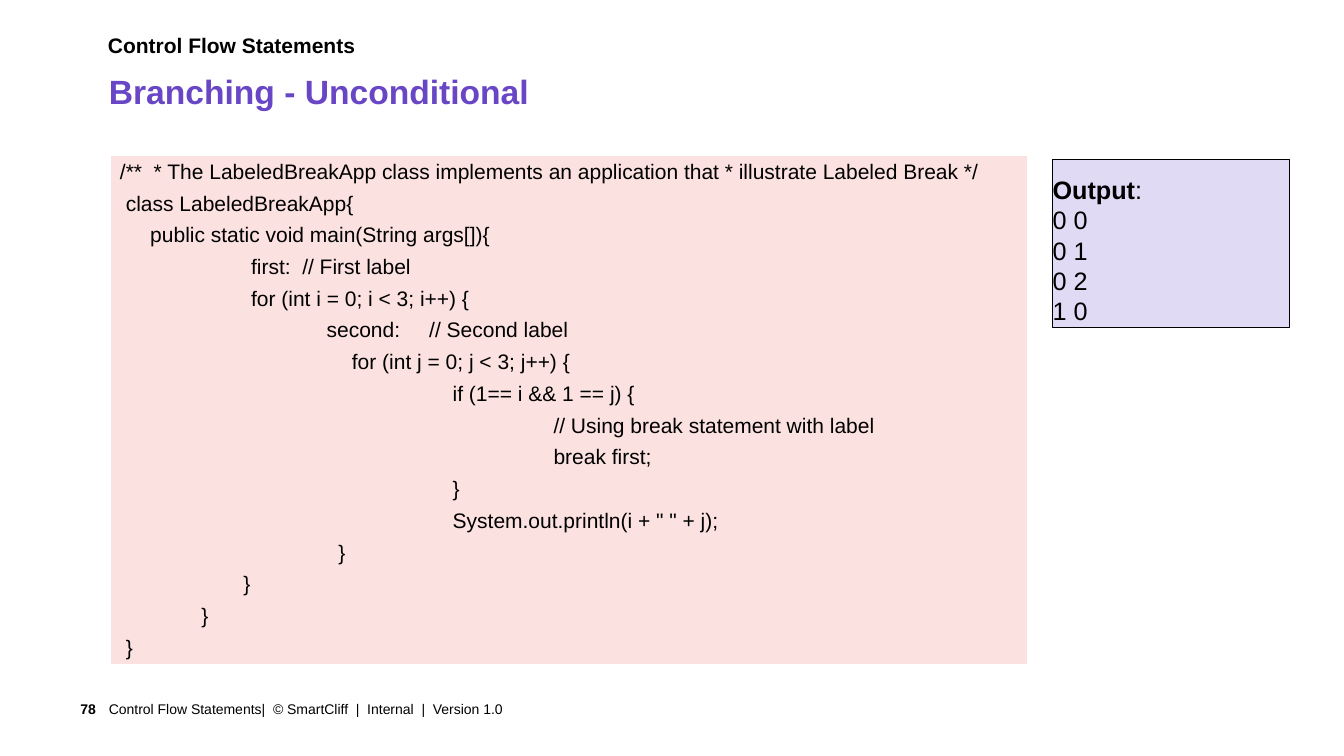
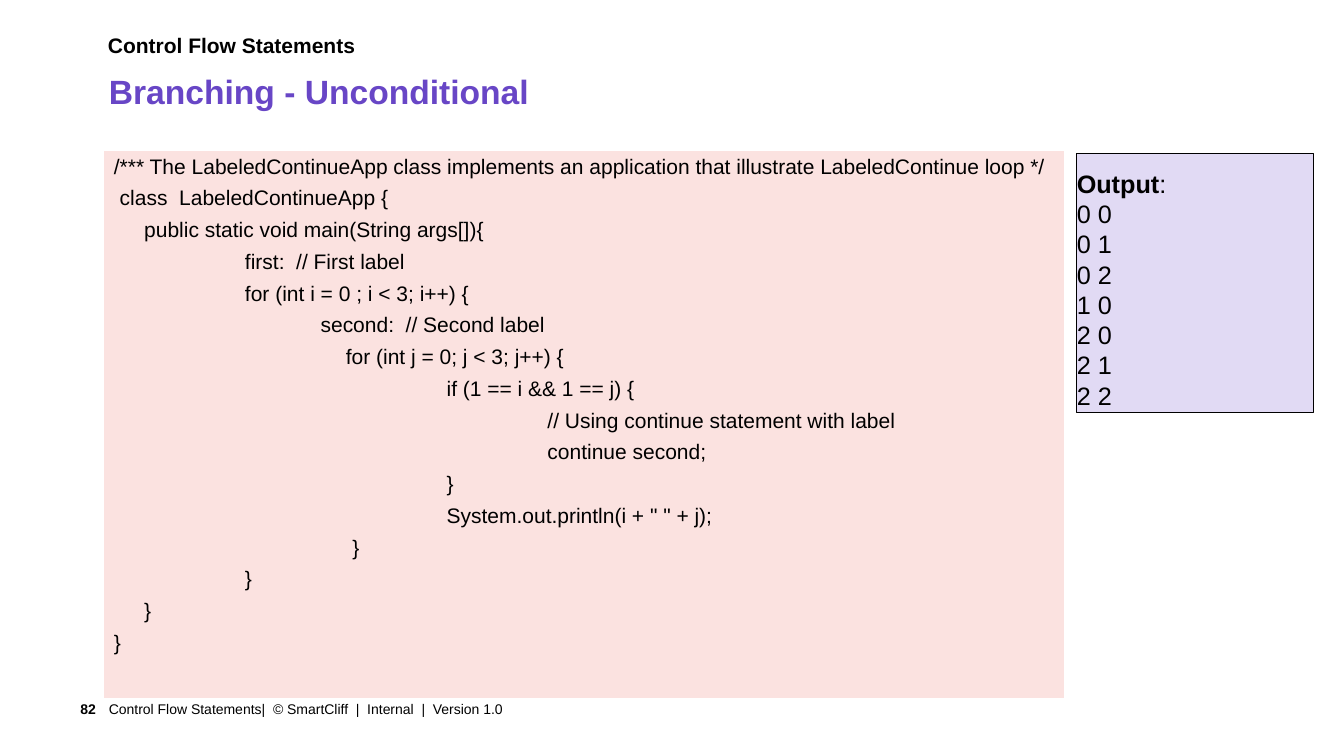
"""Build two slides showing labeled break and labeled continue with their output."""
from pptx import Presentation
from pptx.dml.color import RGBColor
from pptx.enum.shapes import MSO_SHAPE
from pptx.enum.text import MSO_ANCHOR, MSO_AUTO_SIZE, PP_ALIGN
from pptx.util import Inches, Pt

RECTANGLE = MSO_SHAPE.RECTANGLE
TOP, MIDDLE = MSO_ANCHOR.TOP, MSO_ANCHOR.MIDDLE
LEFT, RIGHT = PP_ALIGN.LEFT, PP_ALIGN.RIGHT
NO_AUTOFIT = MSO_AUTO_SIZE.NONE

BLACK = RGBColor(0x00, 0x00, 0x00)
PURPLE = RGBColor(0x68, 0x46, 0xC6)
LAVENDER = RGBColor(0xE1, 0xDA, 0xF4)
PINK = RGBColor(0xFB, 0xE2, 0xE0)
FONT = "Arial"

SECTION = "Control Flow Statements"
TITLE = "Branching - Unconditional"
FOOTER = "Control Flow Statements|  © SmartCliff  |  Internal  |  Version 1.0"
OUTPUT_WIDTH = 2.35
INDENT = 0.3
TAB_WIDTH = 1

BREAK_CODE = [
    "/** \u00a0* The LabeledBreakApp class implements an application that * illustrate Labeled Break */",
    " class LabeledBreakApp{",
    "\tpublic static void main(String args[]){",
    "\t\tfirst:  // First label",
    "\t\tfor (int i = 0; i < 3; i++) {",
    "\t\t             second:     // Second label",
    "\t\t\tfor (int j = 0; j < 3; j++) {",
    "\t\t\t\tif (1== i && 1 == j) {",
    "\t\t\t\t\t// Using break statement with label",
    "\t\t\t\t\tbreak first;",
    "\t\t\t\t}",
    "\t\t\t\tSystem.out.println(i + \" \" + j);",
    "\t\t               }",
    "\t                }",
    "              }",
    " }",
]
CONTINUE_CODE = [
    "/*** The LabeledContinueApp class implements an application that illustrate LabeledContinue loop */",
    " class  LabeledContinueApp {",
    "\tpublic static void main(String args[]){",
    "\t\tfirst:  // First label",
    "\t\tfor (int i = 0 ; i < 3; i++) {",
    "\t\t             second:  // Second label",
    "\t\t\tfor (int j = 0; j < 3; j++) {",
    "\t\t\t\tif (1 == i && 1 == j) {",
    "\t\t\t\t\t// Using continue statement with label",
    "\t\t\t\t\tcontinue second;",
    "\t\t\t\t}",
    "\t\t\t\tSystem.out.println(i + \" \" + j);",
    "                                         }",
    "\t\t}",
    "\t}",
    "}",
]
SLIDES = [
    {"number": "78", "code": BREAK_CODE, "code_box": (1.09, 1.54, 9.1, 5.04),
     "output": ["0 0", "0 1", "0 2", "1 0"], "output_box": (10.44, 1.58, OUTPUT_WIDTH, 1.67)},
    {"number": "82", "code": CONTINUE_CODE, "code_box": (1.03, 1.49, 9.53, 5.44),
     "output": ["0 0", "0 1", "0 2", "1 0", "2 0", "2 1", "2 2"],
     "output_box": (10.68, 1.52, OUTPUT_WIDTH, 2.57)},
]


def inches(box):
    """Convert a box of numbers to lengths."""
    return [Inches(length) for length in box]


def set_font(paragraph, size, color=BLACK, bold=False):
    """Set the font of a whole paragraph."""
    font = paragraph.font
    font.name, font.size, font.bold = FONT, Pt(size), bold
    font.color.rgb = color


def set_frame(frame, margins=(0, 0, 0, 0), anchor=TOP):
    """Set the wrapping, margins and anchor of a text frame."""
    frame.word_wrap = True
    frame.auto_size = NO_AUTOFIT
    frame.vertical_anchor = anchor
    frame.margin_left, frame.margin_top, frame.margin_right, frame.margin_bottom = inches(margins)


def add_label(slide, text, box, size, bold=False, align=LEFT, **frame_options):
    """Add a one-line text box."""
    frame = slide.shapes.add_textbox(*inches(box)).text_frame
    set_frame(frame, **frame_options)
    paragraph = frame.paragraphs[0]
    paragraph.text, paragraph.alignment = text, align
    set_font(paragraph, size, bold=bold)


def add_heading_and_footer(slide, number):
    """Fill in the parts that every slide shares."""
    title = slide.shapes.title
    title.left, title.top, title.width, title.height = inches((1.08, 0.7, 11.94, 0.42))
    title.text = TITLE
    set_frame(title.text_frame)
    paragraph = title.text_frame.paragraphs[0]
    paragraph.alignment = LEFT
    set_font(paragraph, 24, PURPLE, True)
    add_label(slide, SECTION, (1.07, 0.32, 11.94, 0.41), 15, bold=True)
    add_label(slide, number, (0.42, 6.88, 0.65, 0.31), 10, bold=True, align=RIGHT,
              margins=(0.1, 0.05, 0.12, 0.05), anchor=MIDDLE)
    add_label(slide, FOOTER, (1.08, 6.88, 9.36, 0.31), 10,
              margins=(0, 0.05, 0.1, 0.05), anchor=MIDDLE)


def add_code(slide, lines, box):
    """Add a one-cell table holding a code listing."""
    cell = slide.shapes.add_table(1, 1, *inches(box)).table.cell(0, 0)
    cell.fill.solid()
    cell.fill.fore_color.rgb = PINK
    cell.text = "\n".join(lines)
    for index, paragraph in enumerate(cell.text_frame.paragraphs):
        properties = paragraph._p.get_or_add_pPr()
        properties.set("marL", str(Inches(INDENT)))
        properties.set("indent", str(-Inches(INDENT)))
        properties.set("defTabSz", str(Inches(TAB_WIDTH)))
        if index:
            paragraph.space_before = Pt(6)
        set_font(paragraph, 15)


def add_output(slide, lines, box):
    """Add the box that shows what the program prints."""
    shape = slide.shapes.add_shape(RECTANGLE, *inches(box))
    shape.shadow.inherit = False
    shape.fill.solid()
    shape.fill.fore_color.rgb = LAVENDER
    shape.line.color.rgb = BLACK
    shape.line.width = Pt(0.75)
    frame = shape.text_frame
    set_frame(frame)
    frame.text = "\n".join(["Output", *lines])
    for paragraph in frame.paragraphs:
        paragraph.alignment = LEFT
        set_font(paragraph, 18)
    heading = frame.paragraphs[0]
    heading.line_spacing = 1.5
    heading.runs[0].font.bold = True
    heading.add_run().text = ":"


def main():
    """Build and save the presentation."""
    presentation = Presentation()
    presentation.slide_width, presentation.slide_height = inches((13.33, 7.5))
    title_only = presentation.slide_layouts[5]
    for content in SLIDES:
        slide = presentation.slides.add_slide(title_only)
        add_heading_and_footer(slide, content["number"])
        add_code(slide, content["code"], content["code_box"])
        add_output(slide, content["output"], content["output_box"])
    presentation.save("out.pptx")


if __name__ == "__main__":
    main()
